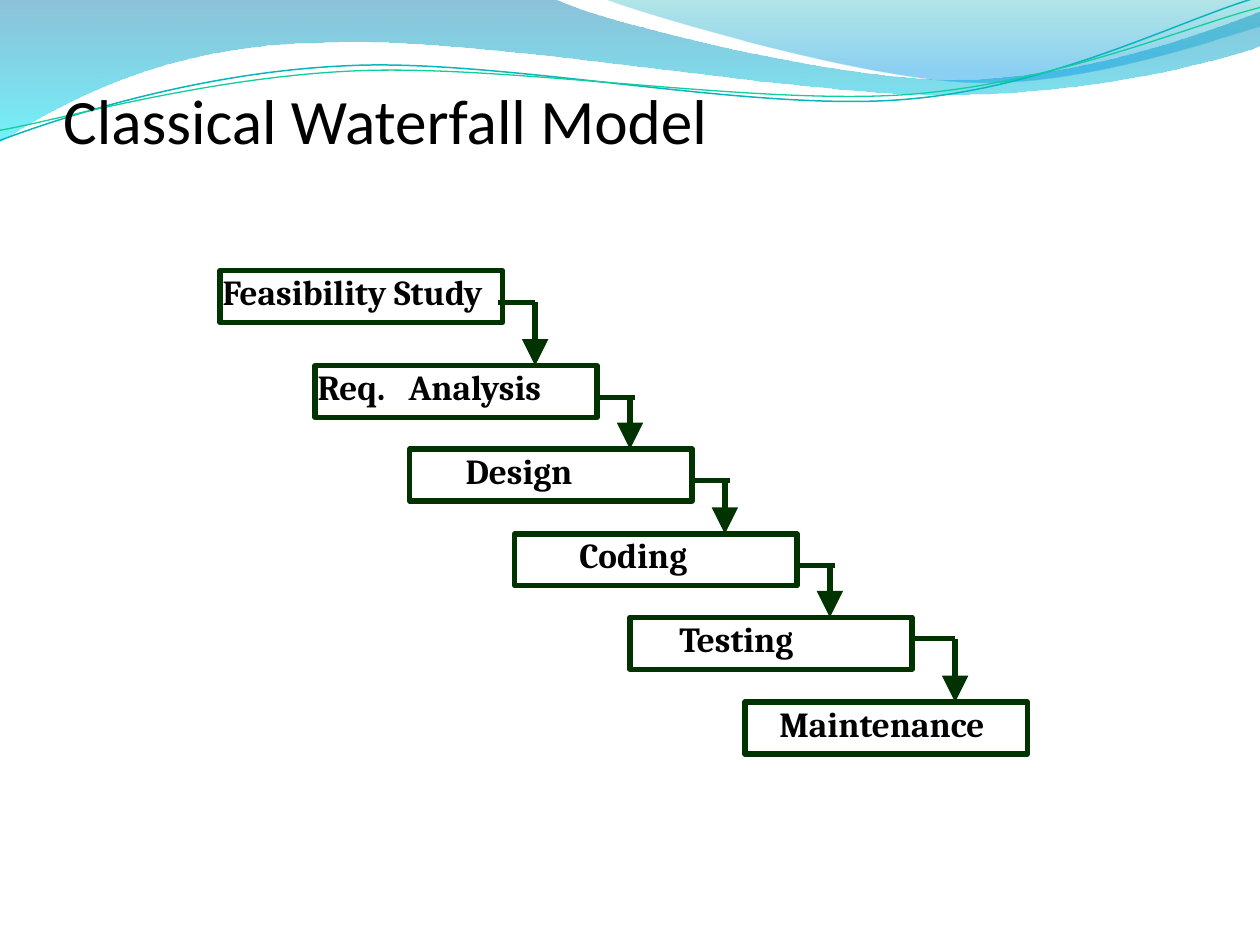
from lxml import etree
from pptx import Presentation
from pptx.dml.color import RGBColor
from pptx.enum.shapes import MSO_CONNECTOR, MSO_SHAPE
from pptx.enum.text import MSO_ANCHOR, PP_ALIGN
from pptx.oxml.ns import qn
from pptx.util import Inches, Pt

STRAIGHT = MSO_CONNECTOR.STRAIGHT
ROUNDED = MSO_SHAPE.ROUNDED_RECTANGLE
TOP, MIDDLE = MSO_ANCHOR.TOP, MSO_ANCHOR.MIDDLE
LEFT = PP_ALIGN.LEFT

BLACK = RGBColor(0x00, 0x00, 0x00)
DARK_GREEN = RGBColor(0x00, 0x33, 0x00)
DEEP_BLUE = RGBColor(0x00, 0x79, 0xAD)
CYAN = RGBColor(0x00, 0xE9, 0xF7)
TEAL = RGBColor(0x00, 0xAB, 0xB4)
SKY_BLUE = RGBColor(0x00, 0x99, 0xE4)
TEAL_LINE = RGBColor(0x09, 0xB6, 0xBE)
MINT_LINE = RGBColor(0x10, 0xCF, 0x9B)

BOX_WIDTH, BOX_HEIGHT = 2.23, 0.41

deck = Presentation()
deck.slide_width, deck.slide_height = Inches(9.96), Inches(7.47)
page = deck.slides.add_slide(deck.slide_layouts[6])


def add_wave(start, segments, closed):
    """Draw an outline; a segment holds one point (line) or three (Bezier curve)."""
    points = [(Inches(x), Inches(y)) for segment in segments for x, y in segment]
    builder = page.shapes.build_freeform(Inches(start[0]), Inches(start[1]))
    builder.add_line_segments(points, close=closed)
    wave = builder.convert_to_shape()
    wave.shadow.inherit = False
    lines = iter(list(wave._element.spPr.iter(qn("a:lnTo"))))
    for segment in segments:
        first, *others = [next(lines) for _ in segment]
        if others:
            curve = etree.Element(qn("a:cubicBezTo"))
            first.addprevious(curve)
            for line in (first, *others):
                curve.append(line[0])
                line.getparent().remove(line)
    return wave


def write_text(shape, text, anchor, indent=0):
    frame = shape.text_frame
    frame.word_wrap = True
    frame.vertical_anchor = anchor
    frame.margin_left, frame.margin_right = Inches(0.02 + indent), Inches(0.02)
    frame.margin_top = frame.margin_bottom = Inches(0.05)
    para = frame.paragraphs[0]
    para.text = text
    para.alignment = LEFT
    para.font.color.rgb = BLACK
    return para


# Header waves: start, segments, gradient stops (position, colour, opacity %)
filled_waves = [
    ((0, 0),
     [[(4.38, -0.01)],
      [(4.74, 0.17), (6.61, 0.63), (7.55, 0.63)],
      [(8.5, 0.63), (9.54, 0.26), (9.96, 0.09)],
      [(9.97, 0.36)],
      [(9.79, 0.44), (8.66, 0.76), (7.43, 0.75)],
      [(6.19, 0.75), (3.8, 0.28), (2.56, 0.34)],
      [(1.29, 0.35), (0.46, 0.83), (-0.01, 1.13)],
      [(0, 0)]],
     [(0, DEEP_BLUE, 45), (1, CYAN, 55)]),
    ((4.77, -0.01),
     [[(5.07, 0.11), (6.79, 0.62), (7.66, 0.65)],
      [(8.52, 0.69), (9.57, 0.32), (9.96, 0.21)],
      [(9.96, 0)],
      [(4.77, -0.01)]],
     [(0, TEAL, 30), (0.8, SKY_BLUE, 45)]),
]
for start, segments, stops in filled_waves:
    wave = add_wave(start, segments, True)
    wave.line.fill.background()
    wave.fill.gradient()
    wave.fill.gradient_angle = 270
    for stop, (position, color, _) in zip(wave.fill.gradient_stops, stops):
        stop.position = position
        stop.color.rgb = color
    color_nodes = wave._element.spPr.iter(qn("a:srgbClr"))
    for node, (_, _, opacity) in zip(color_nodes, stops):
        etree.SubElement(node, qn("a:alpha"), val=str(opacity * 1000))

line_waves = [
    ((0, 1.11),
     [[(0.48, 0.93), (1.57, 0.57), (2.75, 0.52)],
      [(3.94, 0.46), (5.9, 0.88), (7.1, 0.79)],
      [(8.29, 0.71), (9.34, 0.15), (9.94, -0.02)]],
     TEAL_LINE, 0.85),
    ((0, 1.03),
     [[(0.47, 0.95), (1.63, 0.61), (2.82, 0.56)],
      [(4.01, 0.51), (5.95, 0.83), (7.14, 0.75)],
      [(8.33, 0.67), (9.37, 0.21), (9.96, 0.06)]],
     MINT_LINE, 0.75),
]
for start, segments, color, weight in line_waves:
    wave = add_wave(start, segments, False)
    wave.fill.background()
    wave.line.color.rgb = color
    wave.line.width = Pt(weight)

title = page.shapes.add_textbox(Inches(0.48), Inches(0.32), Inches(8.46), Inches(1.24))
para = write_text(title, "Classical Waterfall Model", MIDDLE)
para.font.name = "Calibri"
para.font.size = Pt(36)

# Stages: text, left, top, text indent
stages = [
    ("Feasibility Study", 1.74, 2.14, 0),
    ("Req.\tAnalysis", 2.49, 2.89, 0),
    ("Design", 3.24, 3.55, 0.42),
    ("Coding", 4.07, 4.22, 0.49),
    ("Testing", 4.98, 4.88, 0.37),
    ("Maintenance", 5.89, 5.55, 0.25),
]
for text, left, top, indent in stages:
    box = page.shapes.add_shape(ROUNDED, Inches(left), Inches(top),
                                Inches(BOX_WIDTH), Inches(BOX_HEIGHT))
    box.adjustments[0] = 0
    box.shadow.inherit = False
    box.fill.background()
    box.line.color.rgb = DARK_GREEN
    box.line.width = Pt(3)
    para = write_text(box, text, TOP, indent)
    para.line_spacing = 0.85
    para.font.name = "Cambria"
    para.font.size = Pt(20)
    para.font.bold = True
    if "\t" in text:
        tabs = etree.Element(qn("a:tabLst"))
        etree.SubElement(tabs, qn("a:tab"), pos=str(Inches(0.72)), algn="l")
        para._p.pPr.find(qn("a:defRPr")).addprevious(tabs)

# Steps between stages, from the upper box: arm start, arm end, drop x, arm height
steps = [(2.2, 2.49, 2.49, 0.25)] + [(2.24, 2.53, 2.49, 0.25)] * 3 + [(2.24, 2.57, 2.57, 0.17)]
for (_, left, top, _), (_, _, next_top, _), step in zip(stages, stages[1:], steps):
    arm_start, arm_end, drop = (left + offset for offset in step[:3])
    arm_y = top + step[3]
    for is_drop, ends in enumerate([(arm_start, arm_y, arm_end, arm_y),
                                    (drop, arm_y, drop, next_top)]):
        connector = page.shapes.add_connector(STRAIGHT, *map(Inches, ends))
        connector.line.color.rgb = DARK_GREEN
        connector.line.width = Pt(3)
        if is_drop:
            etree.SubElement(connector.line._get_or_add_ln(), qn("a:tailEnd"),
                             type="triangle", w="lg", len="lg")
        etree.SubElement(connector._element.spPr, qn("a:effectLst"))

deck.save("out.pptx")
